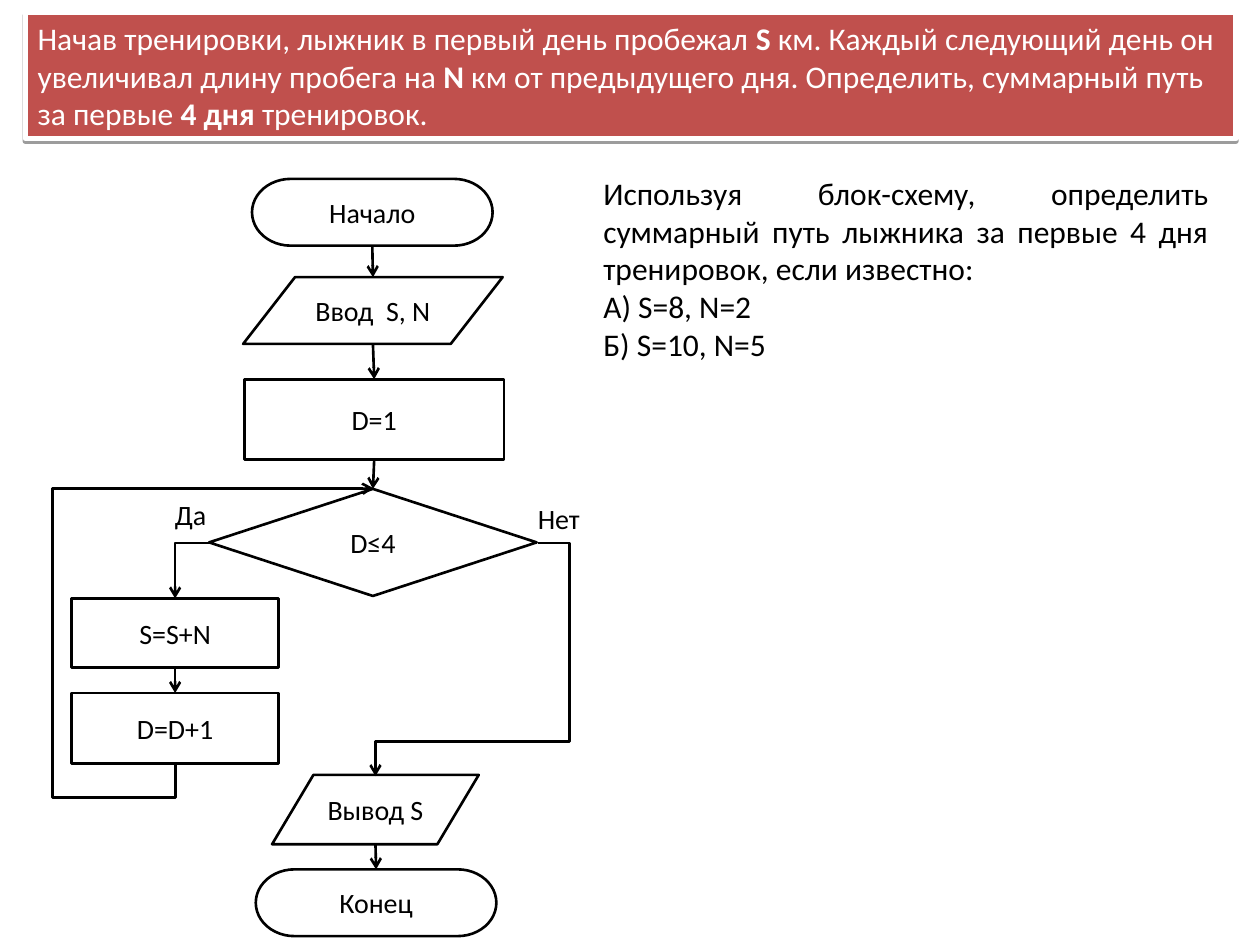
from lxml import etree
from pptx import Presentation
from pptx.dml.color import RGBColor
from pptx.enum.shapes import MSO_CONNECTOR, MSO_SHAPE
from pptx.enum.text import MSO_ANCHOR, PP_ALIGN
from pptx.oxml.ns import qn
from pptx.util import Inches, Pt

RECT = MSO_SHAPE.RECTANGLE
TERMINAL = MSO_SHAPE.FLOWCHART_TERMINATOR
DATA = MSO_SHAPE.FLOWCHART_DATA
DECISION = MSO_SHAPE.FLOWCHART_DECISION
STRAIGHT, ELBOW = MSO_CONNECTOR.STRAIGHT, MSO_CONNECTOR.ELBOW
LEFT, CENTER, JUSTIFY = PP_ALIGN.LEFT, PP_ALIGN.CENTER, PP_ALIGN.JUSTIFY
TOP, MIDDLE = MSO_ANCHOR.TOP, MSO_ANCHOR.MIDDLE
TOP_SITE, BOTTOM_SITE = 0, 2
FONT, BLACK, WHITE, RED = "Calibri", "000000", "FFFFFF", "C0504D"

# Content: runs are (text, bold)
PROBLEM = [
    ("Начав тренировки, лыжник в первый день пробежал ", False),
    ("S ", True),
    ("км. Каждый следующий день он увеличивал длину пробега на ", False),
    ("N", True),
    (" км от предыдущего дня. Определить, суммарный путь за первые ", False),
    ("4 дня ", True),
    ("тренировок.", False),
]
TASK = [
    ("Используя блок-схему, определить суммарный путь лыжника "
     "за первые 4 дня тренировок, если известно:", JUSTIFY),
    ("А) S=8, N=2", LEFT),
    ("Б) S=10, N=5", LEFT),
]
# Flowchart blocks: name -> (shape, text, left, top, width, height)
BLOCKS = {
    "start": (TERMINAL, "Начало", 2, 1.42, 1.91, 0.53),
    "input": (DATA, "Ввод  S, N", 1.93, 2.2, 2.06, 0.53),
    "init": (RECT, "D=1", 1.94, 3.01, 2.06, 0.64),
    "test": (DECISION, "D≤4", 1.66, 3.88, 2.6, 0.85),
    "sum": (RECT, "S=S+N", 0.57, 4.75, 1.64, 0.55),
    "next": (RECT, "D=D+1", 0.57, 5.5, 1.64, 0.56),
    "output": (DATA, "Вывод S", 2.16, 6.15, 1.64, 0.55),
    "end": (TERMINAL, "Конец", 2.03, 6.9, 1.91, 0.53),
}
DOWN_ARROWS = [("start", "input"), ("input", "init"), ("init", "test"),
               ("sum", "next"), ("output", "end")]
# Bent arrows: (preset, frame, rotation, flips, adjustments)
BENT_ARROWS = [
    ("bentConnector2", (1.39, 4.31, 0.27, 0.44), 180, "V", ()),
    ("bentConnector4", (2.98, 4.31, 1.29, 1.85), 0, "H", (-0.194, 0.851)),
    ("bentConnector5", (1.09, 4.18, 2.18, 1.57), 90, "HV", (-0.126, -0.623, 0.998)),
]
BRANCH_LABELS = [("Да", 1.29, 3.9, 0.45, 0.37), ("Нет", 4.17, 3.93, 0.53, 0.37)]


def color(value):
    return RGBColor.from_string(value)


def style_font(font, size, value, bold=False):
    font.name, font.size, font.bold = FONT, Pt(size), bold
    font.color.rgb = color(value)


def add_block(page, kind, frame, fill, line, width):
    block = page.shapes.add_shape(kind, *map(Inches, frame))
    block.shadow.inherit = False
    block.fill.solid()
    block.fill.fore_color.rgb = color(fill)
    block.line.color.rgb = color(line)
    block.line.width = Pt(width)
    return block


def write(box, lines, size, anchor=TOP, wrap=True):
    text_frame = box.text_frame
    text_frame.word_wrap = wrap
    text_frame.vertical_anchor = anchor
    text_frame.text = "\n".join(text for text, _ in lines)
    for para, (_, alignment) in zip(text_frame.paragraphs, lines):
        para.alignment = alignment
        for span in para.runs:
            style_font(span.font, size, BLACK)


def add_arrow(page, kind, begin, end):
    arrow = page.shapes.add_connector(kind, *map(Inches, begin + end))
    arrow.line.color.rgb = color(BLACK)
    arrow.line.width = Pt(1.5)
    etree.SubElement(arrow.line._get_or_add_ln(), qn("a:tailEnd"), type="arrow")
    etree.SubElement(arrow._element.spPr, qn("a:effectLst"))
    return arrow


def add_down_arrow(page, blocks, upper, lower):
    kind, _, left, top, width, height = BLOCKS[upper]
    begin = (left + width / 2, top + height)
    target, _, left, top, width, _ = BLOCKS[lower]
    arrow = add_arrow(page, STRAIGHT, begin, (left + width / 2, top))
    # Data blocks have no joining site numbered like a rectangle's
    if kind != DATA:
        arrow.begin_connect(blocks[upper], BOTTOM_SITE)
    if target != DATA:
        arrow.end_connect(blocks[lower], TOP_SITE)


def add_bent_arrow(page, preset, frame, rotation, flips, adjustments):
    left, top, width, height = frame
    arrow = add_arrow(page, ELBOW, (left, top), (left + width, top + height))
    transform = arrow._element.spPr.find(qn("a:xfrm"))
    transform.set("rot", str(rotation * 60000))
    for flip in flips:
        transform.set("flip" + flip, "1")
    geometry = arrow._element.spPr.find(qn("a:prstGeom"))
    geometry.set("prst", preset)
    guides = geometry.find(qn("a:avLst"))
    if guides is None:
        guides = etree.SubElement(geometry, qn("a:avLst"))
    for number, share in enumerate(adjustments, 1):
        etree.SubElement(guides, qn("a:gd"), name=f"adj{number}",
                         fmla=f"val {round(share * 100000)}")


def add_banner(page):
    banner = add_block(page, RECT, (0.2, 0.1, 9.61, 1), RED, WHITE, 3)
    effects = banner._element.spPr.find(qn("a:effectLst"))
    shadow = etree.SubElement(effects, qn("a:outerShdw"), blurRad="0", dist=str(Pt(1.6)),
                              dir="5400000", rotWithShape="0")
    tint = etree.SubElement(shadow, qn("a:srgbClr"), val=BLACK)
    etree.SubElement(tint, qn("a:alpha"), val="38000")
    banner.text_frame.word_wrap = True
    banner.text_frame.vertical_anchor = TOP
    para = banner.text_frame.paragraphs[0]
    para.alignment = LEFT
    for text, bold in PROBLEM:
        span = para.add_run()
        span.text = text
        style_font(span.font, 18, WHITE, bold)


def main():
    deck = Presentation()
    deck.slide_width, deck.slide_height = Inches(10), Inches(7.5)
    page = deck.slides.add_slide(deck.slide_layouts[6])
    add_banner(page)

    # Flowchart
    blocks = {}
    for name, (kind, text, *frame) in BLOCKS.items():
        blocks[name] = add_block(page, kind, frame, WHITE, BLACK, 1.5)
        write(blocks[name], [(text, CENTER)], 16, MIDDLE)
    for upper, lower in DOWN_ARROWS:
        add_down_arrow(page, blocks, upper, lower)
    for bend in BENT_ARROWS:
        add_bent_arrow(page, *bend)
    for text, *frame in BRANCH_LABELS:
        label = page.shapes.add_textbox(*map(Inches, frame))
        write(label, [(text, LEFT)], 16, wrap=False)

    # Task
    task = page.shapes.add_textbox(*map(Inches, (4.69, 1.33, 5, 1.6)))
    write(task, TASK, 18)
    deck.save("out.pptx")


if __name__ == "__main__":
    main()
